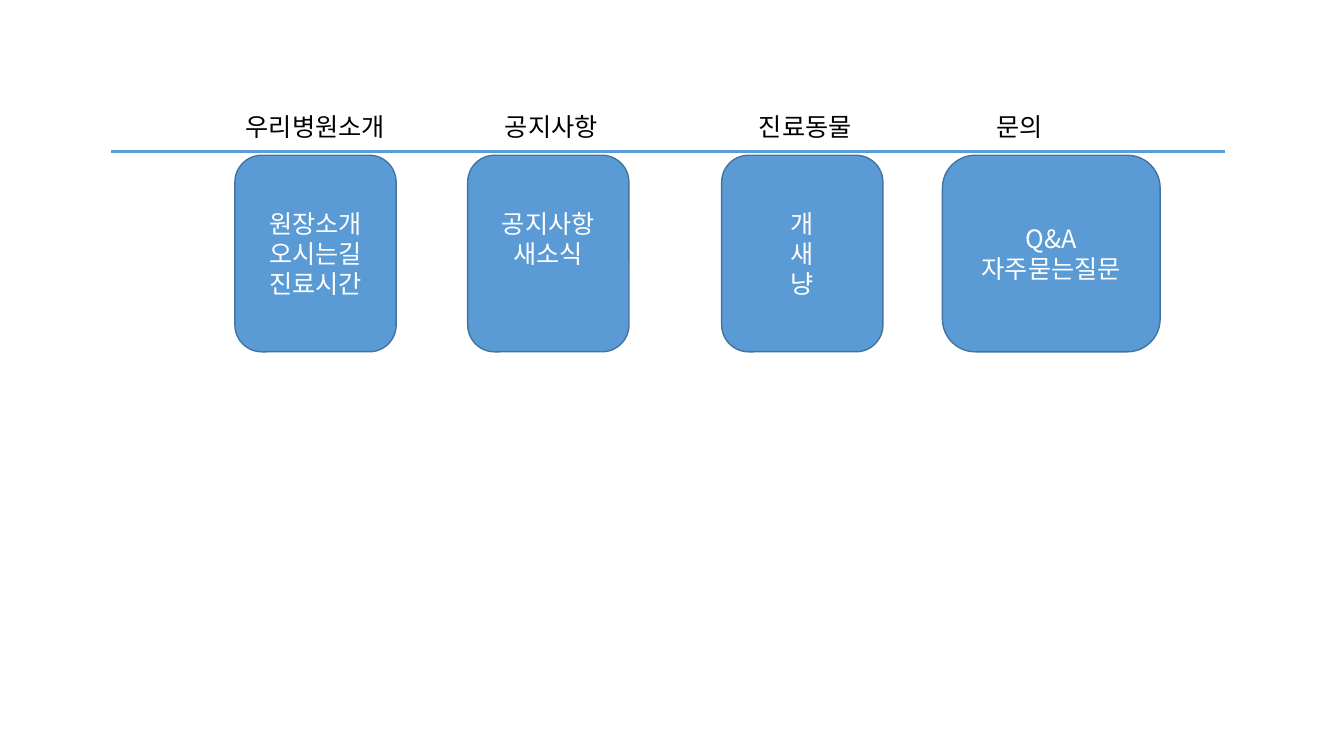
from lxml import etree
from pptx import Presentation
from pptx.dml.color import RGBColor
from pptx.enum.shapes import MSO_CONNECTOR, MSO_SHAPE
from pptx.enum.text import MSO_ANCHOR, MSO_AUTO_SIZE, PP_ALIGN
from pptx.oxml.ns import qn
from pptx.util import Pt

STRAIGHT = MSO_CONNECTOR.STRAIGHT
ROUNDED = MSO_SHAPE.ROUNDED_RECTANGLE
MIDDLE = MSO_ANCHOR.MIDDLE
GROW = MSO_AUTO_SIZE.SHAPE_TO_FIT_TEXT
LEFT, CENTER = PP_ALIGN.LEFT, PP_ALIGN.CENTER

HEAD_TOP, HEAD_H = 75.6, 29
RULE_Y = 108
MENU_TOP, MENU_H = 110.9, 140.4
INSET = 3.6
LINE_H = 21.4

# heading, heading left, heading width, menu left, menu width, items, free lines below
MENUS = [
    ("우리병원소개", 168.5, 123.8, 167.8, 115.2, ["원장소개", "오시는길", "진료시간"], 0),
    ("공지사항", 353.5, 87.1, 334.1, 115.2, ["공지사항", "새소식"], 1),
    ("진료동물", 535, 87.1, 515.5, 115.2, ["개", "새", "냥"], 0),
    ("문의", 704.9, 51.1, 673.2, 155.5, ["Q&A", "자주묻는질문"], 0),
]


def rgb(value):
    return RGBColor.from_string(value)


def add_text(p, text, *, font, size, color, align=LEFT):
    p.alignment = align
    r = p.add_run()
    r.text = text
    r.font.size = Pt(size)
    r.font.color.rgb = rgb(color)
    r.font.name = font
    etree.SubElement(r._r.get_or_add_rPr(), qn("a:ea"), typeface=font)


class Deck:
    font = "Noto Sans CJK KR"
    size = 18
    blue, edge = "5B9BD5", "43739E"
    dark, light = "000000", "FFFFFF"

    def __init__(self, width, height):
        self.prs = Presentation()
        self.prs.slide_width, self.prs.slide_height = Pt(width), Pt(height)
        self.s = self.prs.slides.add_slide(self.prs.slide_layouts[6])

    def rule(self, x1, x2, y):
        line = self.s.shapes.add_connector(STRAIGHT, Pt(x1), Pt(y), Pt(x2), Pt(y))
        line.line.color.rgb = rgb(self.blue)
        line.line.width = Pt(2.25)
        etree.SubElement(line._element.spPr, qn("a:effectLst"))

    def heading(self, text, x, y, w, h):
        tf = self.s.shapes.add_textbox(Pt(x), Pt(y), Pt(w), Pt(h)).text_frame
        tf.word_wrap = False
        tf.auto_size = GROW
        add_text(tf.paragraphs[0], text, font=self.font, size=self.size, color=self.dark)

    def menu(self, items, x, y, w, h, free_lines):
        """Rounded box with one centred line per item, raised by the free lines."""
        sp = self.s.shapes.add_shape(ROUNDED, Pt(x), Pt(y), Pt(w), Pt(h))
        sp.shadow.inherit = False
        sp.fill.solid()
        sp.fill.fore_color.rgb = rgb(self.blue)
        sp.line.color.rgb = rgb(self.edge)
        sp.line.width = Pt(1)
        tf = sp.text_frame
        tf.word_wrap = True
        tf.vertical_anchor = MIDDLE
        tf.margin_bottom = Pt(INSET + free_lines * LINE_H)
        for i, item in enumerate(items):
            p = tf.add_paragraph() if i else tf.paragraphs[0]
            add_text(p, item, font=self.font, size=self.size, color=self.light, align=CENTER)


def main():
    deck = Deck(960, 540)
    deck.rule(79.2, 874.8, RULE_Y)
    for heading, head_x, head_w, menu_x, menu_w, items, free_lines in MENUS:
        deck.heading(heading, head_x, HEAD_TOP, head_w, HEAD_H)
        deck.menu(items, menu_x, MENU_TOP, menu_w, MENU_H, free_lines)
    deck.prs.save("out.pptx")


if __name__ == "__main__":
    main()
